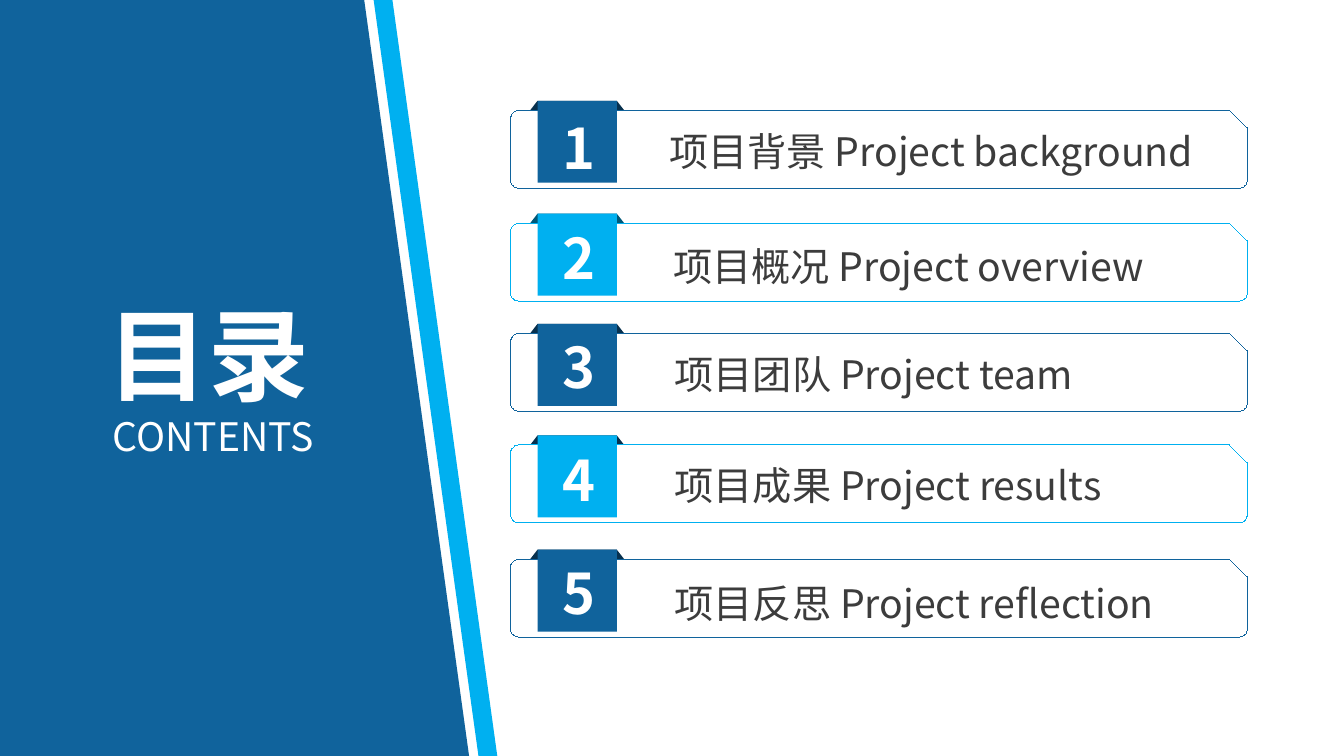
from math import cos, radians, sin

from pptx import Presentation
from pptx.dml.color import RGBColor
from pptx.enum.shapes import MSO_SHAPE
from pptx.enum.text import MSO_ANCHOR, MSO_AUTO_SIZE, PP_ALIGN
from pptx.util import Inches, Pt

THEME = {
    "font": "Noto Sans CJK SC",
    "blue": "10639C",
    "cyan": "00B0F0",
    "dark_blue": "08314E",
    "dark_cyan": "005878",
    "white": "FFFFFF",
    "text": "3C3C3C",
    "title_size": 54,
    "number_size": 30,
    "label_size": 21,
}

TITLE = "目录"
SUBTITLE = "CONTENTS"

# label, tab top, number top, label left, label top, label width, colour, fold
ITEMS = [
    ("项目背景 Project background", 0.75, 0.79, 4.88, 0.90, 4.22, "blue", "dark_blue"),
    ("项目概况 Project overview", 1.59, 1.61, 4.91, 1.75, 3.80, "cyan", "dark_cyan"),
    ("项目团队 Project team", 2.41, 2.42, 4.92, 2.56, 3.25, "blue", "dark_blue"),
    ("项目成果 Project results", 3.24, 3.26, 4.92, 3.38, 3.45, "cyan", "dark_blue"),
    ("项目反思 Project reflection", 4.09, 4.10, 4.92, 4.26, 3.86, "blue", "dark_blue"),
]

SLIDE_WIDTH = 10
SLIDE_HEIGHT = SLIDE_WIDTH * 9 / 16
PANEL = [(0, 0), (2.71, 0), (3.49, SLIDE_HEIGHT), (0, SLIDE_HEIGHT)]
STRIPE = [(2.78, 0), (2.92, 0), (3.70, SLIDE_HEIGHT), (3.56, SLIDE_HEIGHT)]
TAB_LEFT, TAB_WIDTH, TAB_HEIGHT = 4, 0.59, 0.61
FOLD_OVERHANG, FOLD_HEIGHT = 0.07, 0.09
CARD_LEFT, CARD_RIGHT, CARD_HEIGHT = 3.8, 9.28, 0.58
CARD_DROP, CARD_RADIUS, CARD_SNIP = 0.07, 0.06, 0.13


def color(name):
    return RGBColor.from_string(THEME[name])


def paint(shape, fill, line=None):
    shape.shadow.inherit = False
    shape.fill.solid()
    shape.fill.fore_color.rgb = color(fill)
    if line:
        shape.line.color.rgb = color(line)
        shape.line._get_or_add_ln().set("w", "0")
    else:
        shape.line.fill.background()


def add_polygon(slide, points, fill, line=None):
    start, *rest = [(Inches(x), Inches(y)) for x, y in points]
    builder = slide.shapes.build_freeform(*start, scale=1.0)
    builder.add_line_segments(rest, close=True)
    paint(builder.convert_to_shape(), fill, line)


def corner(x, y, start_angle):
    angles = [radians(start_angle + 15 * step) for step in range(7)]
    return [(x + CARD_RADIUS * cos(a), y + CARD_RADIUS * sin(a)) for a in angles]


def card_points(top):
    bottom = top + CARD_HEIGHT
    inner_left, inner_right = CARD_LEFT + CARD_RADIUS, CARD_RIGHT - CARD_RADIUS
    return [
        (CARD_RIGHT - CARD_SNIP, top),
        (CARD_RIGHT, top + CARD_SNIP),
        *corner(inner_right, bottom - CARD_RADIUS, 0),
        *corner(inner_left, bottom - CARD_RADIUS, 90),
        *corner(inner_left, top + CARD_RADIUS, 180),
    ]


def write(shape, text, size, ink, bold=False):
    frame = shape.text_frame
    frame.word_wrap = True
    frame.auto_size = MSO_AUTO_SIZE.NONE
    frame.vertical_anchor = MSO_ANCHOR.MIDDLE
    frame.margin_left = Inches(0.1)
    frame.margin_top = frame.margin_right = frame.margin_bottom = 0
    paragraph = frame.paragraphs[0]
    paragraph.alignment = PP_ALIGN.LEFT
    paragraph.line_spacing = 1.0
    paragraph.space_before = Pt(0)
    run = paragraph.add_run()
    run.text = text
    run.font.name = THEME["font"]
    run.font.size = Pt(THEME[size])
    run.font.bold = bold
    run.font.color.rgb = color(ink)
    properties = run.font._element
    east_asian = properties.makeelement(
        properties.tag.replace("rPr", "ea"), {"typeface": THEME["font"]}
    )
    properties.find(properties.tag.replace("rPr", "latin")).addnext(east_asian)


def add_text(slide, box, text, size, ink, bold=False):
    shape = slide.shapes.add_textbox(*map(Inches, box))
    write(shape, text, size, ink, bold)


def add_item(slide, number, item):
    label, top, number_top, left, label_top, width, main_color, fold_color = item
    right = TAB_LEFT + TAB_WIDTH
    fold_bottom = top + FOLD_HEIGHT
    fold_points = [
        (TAB_LEFT, top),
        (right, top),
        (right + FOLD_OVERHANG, fold_bottom),
        (TAB_LEFT - FOLD_OVERHANG, fold_bottom),
    ]
    add_polygon(slide, fold_points, fold_color)
    add_polygon(slide, card_points(top + CARD_DROP), "white", main_color)
    tab_box = (TAB_LEFT, top, TAB_WIDTH, TAB_HEIGHT)
    paint(slide.shapes.add_shape(MSO_SHAPE.RECTANGLE, *map(Inches, tab_box)), main_color)
    add_text(slide, (left, label_top, width, 0.45), label, "label_size", "text")
    add_text(slide, (4.09, number_top, 0.46, 0.61), str(number), "number_size", "white", True)


def main():
    presentation = Presentation()
    presentation.slide_width = Inches(SLIDE_WIDTH)
    presentation.slide_height = Inches(SLIDE_HEIGHT)
    slide = presentation.slides.add_slide(presentation.slide_layouts[5])

    for number, item in enumerate(ITEMS, start=1):
        add_item(slide, number, item)

    add_polygon(slide, PANEL, "blue")
    add_polygon(slide, STRIPE, "cyan")

    title = slide.shapes.title
    title.left, title.top, title.width, title.height = map(Inches, (0.7, 2.12, 1.72, 1.01))
    write(title, TITLE, "title_size", "white", True)
    slide.shapes._spTree.append(title._element)
    add_text(slide, (0.74, 3.02, 1.78, 0.45), SUBTITLE, "label_size", "white")

    presentation.save("out.pptx")


if __name__ == "__main__":
    main()
